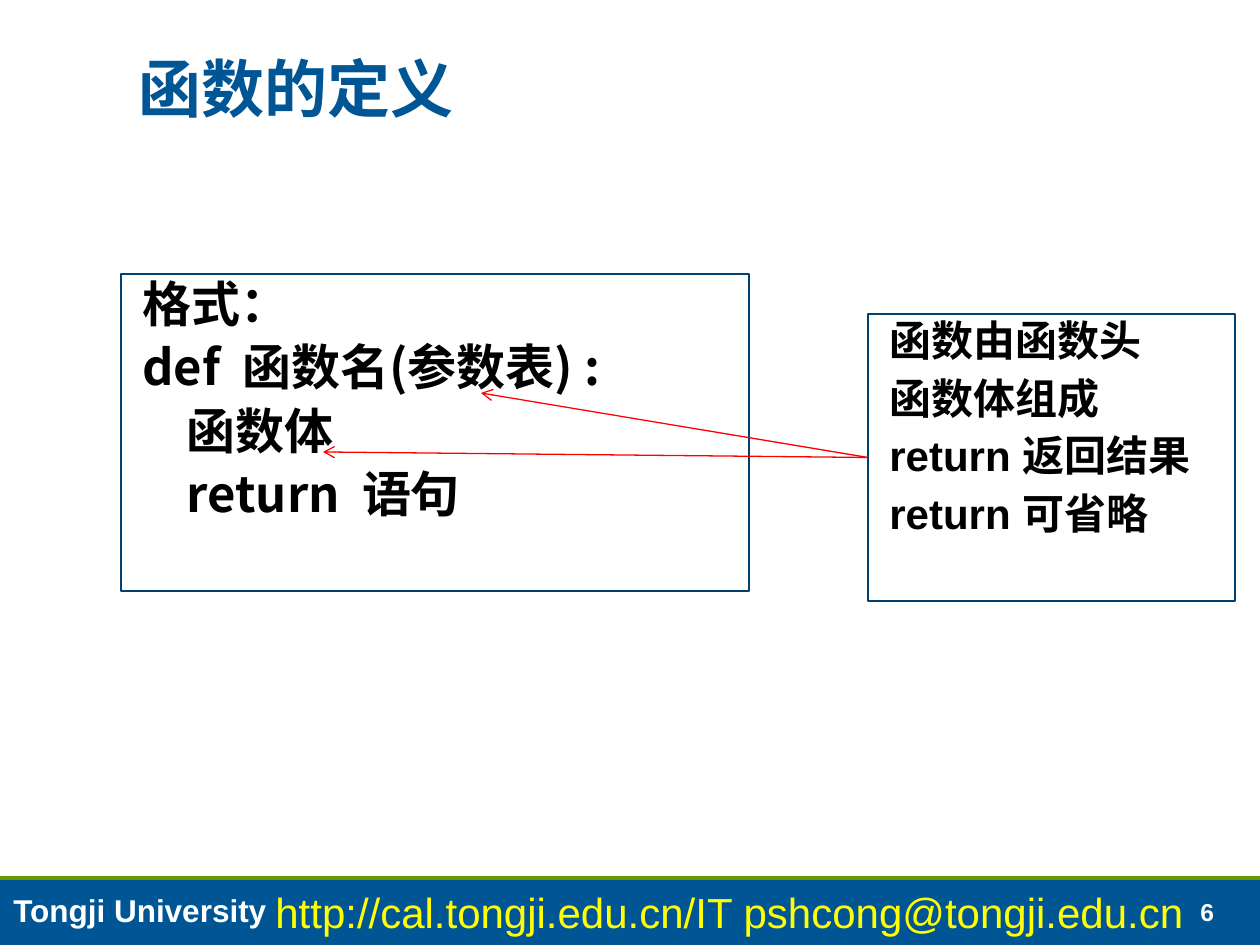
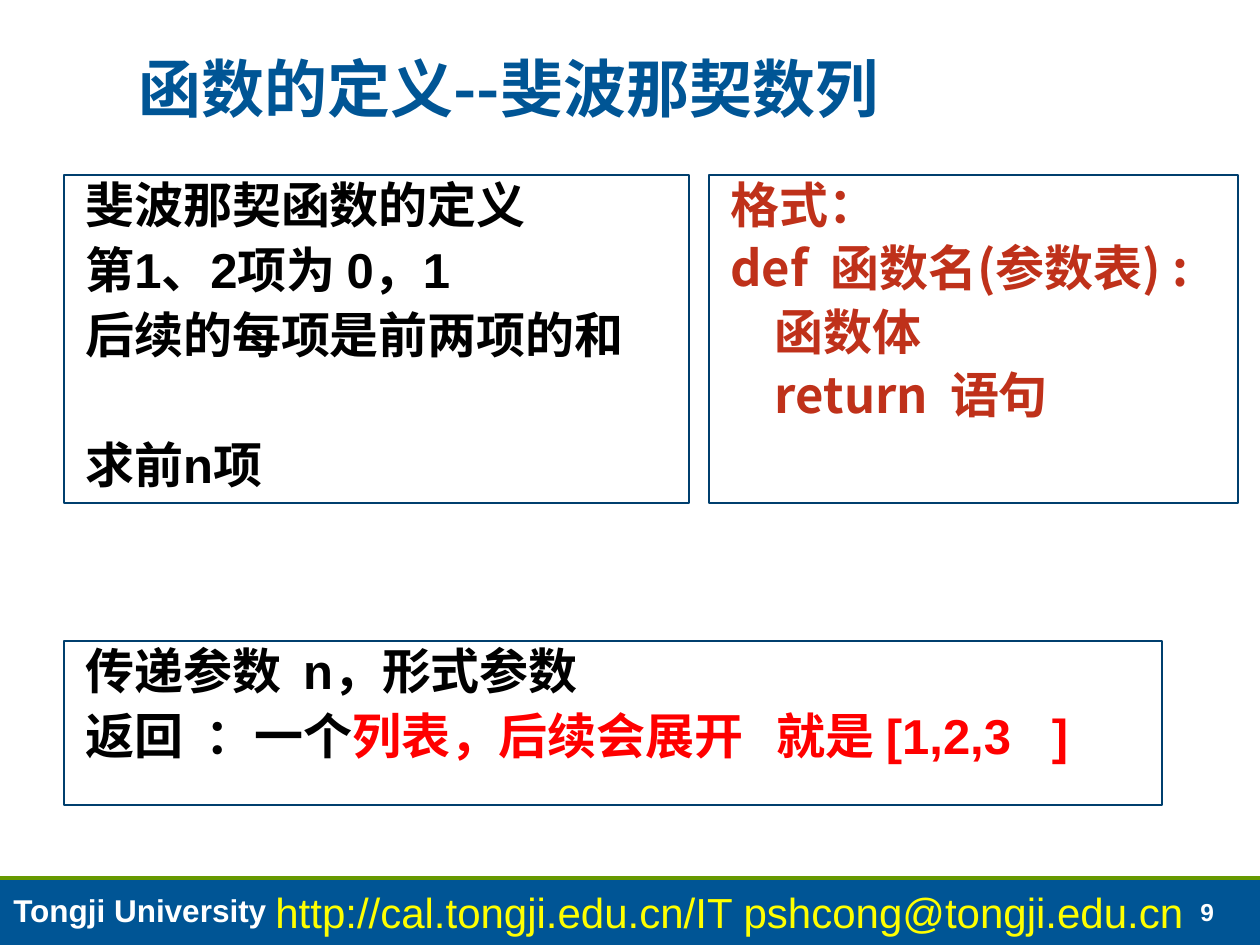
from dataclasses import dataclass

from lxml import etree
from pptx import Presentation
from pptx.dml.color import RGBColor
from pptx.enum.shapes import MSO_CONNECTOR, MSO_SHAPE
from pptx.enum.text import MSO_ANCHOR, PP_ALIGN
from pptx.oxml.ns import qn
from pptx.util import Pt

RECT = MSO_SHAPE.RECTANGLE
STRAIGHT = MSO_CONNECTOR.STRAIGHT
TOP, BOTTOM = MSO_ANCHOR.TOP, MSO_ANCHOR.BOTTOM
LEFT = PP_ALIGN.LEFT
LEFT_SIDE = 1


@dataclass(frozen=True)
class Theme:
    blue: str = "005595"
    edge: str = "003F6E"
    green: str = "669900"
    yellow: str = "FFFF00"
    white: str = "FFFFFF"
    black: str = "000000"
    red: str = "FF0000"
    brick: str = "BF311A"
    latin: str = "Arial"
    hans: str = "Noto Sans CJK SC"
    code: str = "Noto Sans CJK JP"
    title: int = 36
    body: int = 28
    note: int = 24
    school: int = 18
    number: int = 14


T = Theme()
PX = 914400 / 126


def write(shape, rows, size, color, face=T.latin, bold=True, anchor=TOP,
          wrap=True, line=1.0, gap=0, indent=0):
    """Fill a shape with rows; a row is a string or a list of (text, color)."""
    frame = shape.text_frame
    frame.word_wrap = wrap
    frame.vertical_anchor = anchor
    for i, row in enumerate(rows):
        para = frame.paragraphs[0] if i == 0 else frame.add_paragraph()
        para.alignment = LEFT
        para.line_spacing = line
        para.space_before = Pt(gap if i else 0)
        props = para._p.get_or_add_pPr()
        props.set("marL", str(round(indent * PX)))
        props.set("indent", "0")
        for text, tint in [(row, color)] if isinstance(row, str) else row:
            run = para.add_run()
            run.text = text
            font = run.font
            font.size, font.bold, font.name = Pt(size), bold, face
            font.color.rgb = RGBColor.from_string(tint)
            east = etree.SubElement(run._r.get_or_add_rPr(), qn("a:ea"))
            east.set("typeface", T.hans if face == T.latin else face)


def link(slide, ends, color, width):
    """Draw a flat straight line through x1, y1, x2, y2 in px."""
    wire = slide.shapes.add_connector(STRAIGHT, *[round(v * PX) for v in ends])
    wire.line.color.rgb = RGBColor.from_string(color)
    wire.line.width = Pt(width)
    etree.SubElement(wire._element.spPr, qn("a:effectLst"))
    return wire


syntax = ["格式：", "def  函数名(参数表) :", "    函数体", "    return  语句"]
notes = ["函数由函数头", "函数体组成", "return 返回结果", "return 可省略"]
series = ["斐波那契函数的定义", "第1、2项为 0，1", "后续的每项是前两项的和", "求前n项"]
result = ["传递参数  n，形式参数",
          [("返回  ：一个", T.black), ("列表，后续会展开   就是 [1,2,3   ]", T.red)]]

# Each panel: place in px, rows, size, color, face, gap before rows
pages = [
    ("6", "函数的定义", [
        ((121, 274, 628, 317), syntax, T.body, T.black, T.code, 6),
        ((868, 314, 367, 287), notes, T.note, T.black, T.latin, 7),
    ]),
    ("9", "函数的定义--斐波那契数列", [
        ((64, 175, 625, 328), series, T.body, T.black, T.latin, 7),
        ((64, 641, 1098, 164), result, T.body, T.black, T.latin, 7),
        ((709, 175, 529, 328), syntax, T.body, T.brick, T.code, 6),
    ]),
]

deck = Presentation()
deck.slide_width, deck.slide_height = round(1260 * PX), round(945 * PX)

for number, title, panels in pages:
    slide = deck.slides.add_slide(deck.slide_layouts[6])
    shapes = slide.shapes

    band = shapes.add_shape(RECT, *[round(v * PX) for v in (0, 878, 1260, 67)])
    band.shadow.inherit = False
    band.fill.solid()
    band.fill.fore_color.rgb = RGBColor.from_string(T.blue)
    band.line.fill.background()
    link(slide, (0, 878, 1260, 878), T.green, 2)

    labels = [
        ((1188, 890, 67, 43), number, T.number, T.white,
         dict(anchor=BOTTOM, wrap=False)),
        ((1, 885, 442, 50), "Tongji University", T.school, T.white, {}),
        ((263, 880, 973, 63), "http://cal.tongji.edu.cn/IT pshcong@tongji.edu.cn",
         T.note, T.yellow, dict(bold=False)),
        ((84, 47, 1100, 86), title, T.title, T.blue,
         dict(face=T.hans, anchor=BOTTOM, line=0.95, indent=42)),
    ]
    for place, text, size, color, style in labels:
        label = shapes.add_textbox(*[round(v * PX) for v in place])
        write(label, [text], size, color, **style)

    boxes = []
    for place, rows, size, color, face, gap in panels:
        box = shapes.add_shape(RECT, *[round(v * PX) for v in place])
        box.shadow.inherit = False
        box.fill.solid()
        box.fill.fore_color.rgb = RGBColor.from_string(T.white)
        box.line.color.rgb = RGBColor.from_string(T.edge)
        box.line.width = Pt(0.75)
        write(box, rows, size, color, face, line=0.9, gap=gap, indent=9)
        boxes.append(box)

    if rows is syntax:
        # The closing question stands one line apart from the definition
        boxes[0].text_frame.paragraphs[-1].space_before = Pt(44)
    else:
        for x, y in [(481, 393), (323, 452)]:
            arrow = link(slide, (868, 457, x, y), T.red, 0.75)
            arrow.begin_connect(boxes[1], LEFT_SIDE)
            tip = etree.SubElement(arrow.line._get_or_add_ln(), qn("a:tailEnd"))
            tip.set("type", "arrow")

deck.save("out.pptx")
